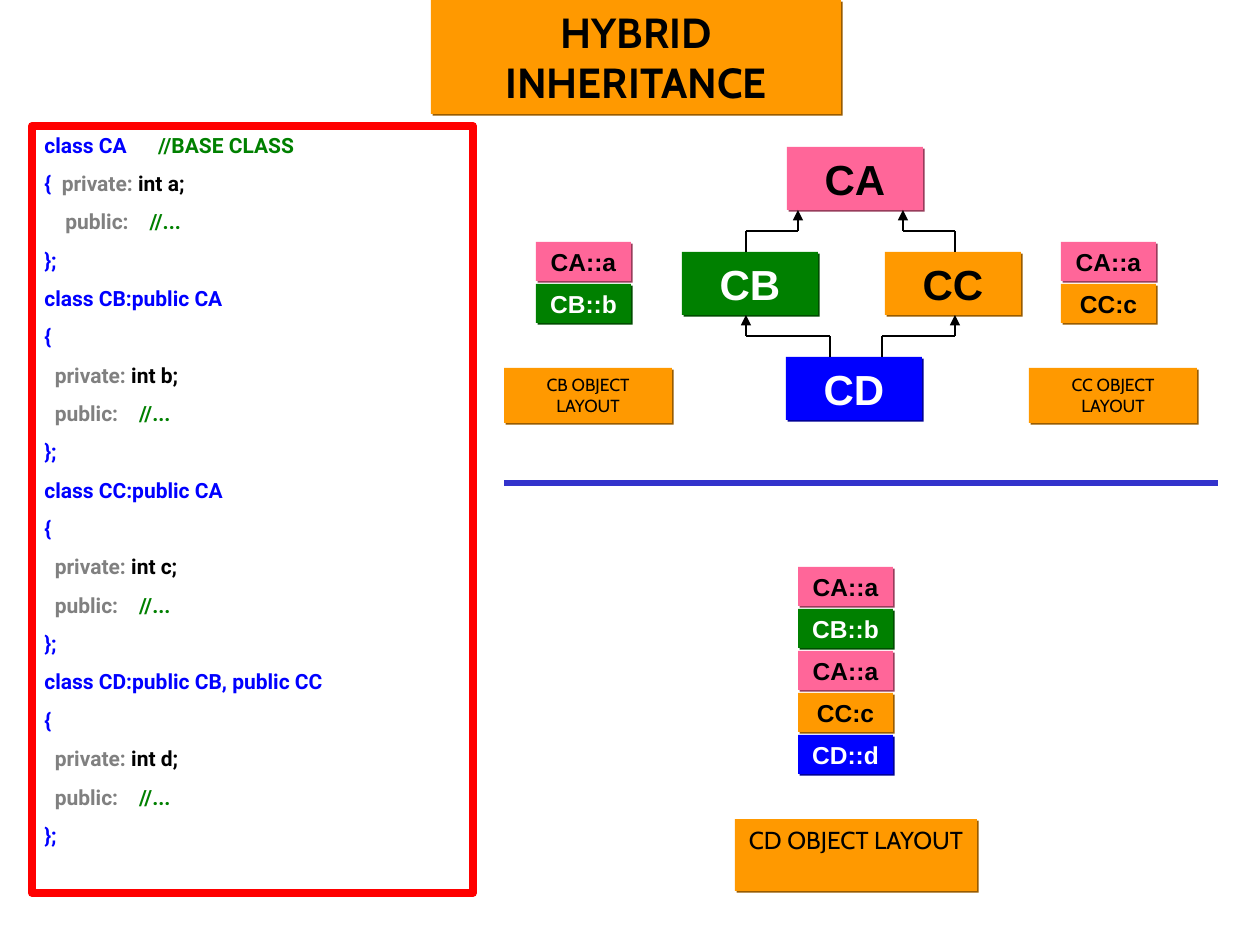
import pptx
import pptx.util
import pptx.dml.color
import pptx.enum.shapes
import pptx.enum.text
import pptx.oxml.ns
import lxml.etree

RGB = pptx.dml.color.RGBColor
ORANGE = RGB(0xFF, 0x99, 0x00)
PINK = RGB(0xFF, 0x66, 0x99)
GREEN = RGB(0x00, 0x80, 0x00)
BLUE = RGB(0x00, 0x00, 0xFF)
INDIGO = RGB(0x33, 0x33, 0xCC)
RED = RGB(0xFF, 0x00, 0x00)
GREY = RGB(0x80, 0x80, 0x80)
BLACK = RGB(0x00, 0x00, 0x00)
WHITE = RGB(0xFF, 0xFF, 0xFF)
SHADE = {
    ORANGE: RGB(0x98, 0x5B, 0x00),
    PINK: RGB(0x98, 0x3C, 0x5B),
    GREEN: RGB(0x00, 0x4C, 0x00),
    BLUE: RGB(0x00, 0x00, 0x98),
}
INK = {ORANGE: BLACK, PINK: BLACK, GREEN: WHITE, BLUE: WHITE}
CELLS = {"CA::a": PINK, "CB::b": GREEN, "CC:c": ORANGE, "CD::d": BLUE}
ALIGN = pptx.enum.text.PP_ALIGN
ANCHOR = pptx.enum.text.MSO_ANCHOR


def px(count):
    return pptx.util.Emu(round(count * 914400 / 126))


def add(part, name, text=""):
    return lxml.etree.SubElement(part, pptx.oxml.ns.qn(name))


def write(para, text, font, size, color, bold):
    run = para.add_run()
    run.text = text
    run.font.name = font
    run.font.size = pptx.util.Pt(size)
    run.font.bold = bold
    run.font.color.rgb = color


def place(shape, left, top, width, height):
    shape.left, shape.top = px(left), px(top)
    shape.width, shape.height = px(width), px(height)


def rect(shapes, *box):
    kind = pptx.enum.shapes.MSO_SHAPE.RECTANGLE
    return shapes.add_shape(kind, *map(px, box))


def setup(shape, fill, anchor, wrap):
    shape.shadow.inherit = False
    shape.fill.solid()
    shape.fill.fore_color.rgb = fill
    frame = shape.text_frame
    frame.auto_size = pptx.enum.text.MSO_AUTO_SIZE.NONE
    frame.word_wrap = wrap
    frame.vertical_anchor = anchor
    return frame


def label(shape, text, fill, font, size, bold, anchor=ANCHOR.MIDDLE, wrap=False):
    frame = setup(shape, fill, anchor, wrap)
    shape.line.fill.background()
    effect = shape.element.spPr.find(pptx.oxml.ns.qn("a:effectLst"))
    shadow = add(effect, "a:outerShdw")
    shadow.set("dist", str(pptx.util.Pt(1.4)))
    shadow.set("dir", "2700000")
    shadow.set("algn", "ctr")
    shadow.set("rotWithShape", "0")
    add(shadow, "a:srgbClr").set("val", str(SHADE[fill]))
    para = frame.paragraphs[0]
    para.alignment = ALIGN.CENTER
    write(para, text, font, size, INK[fill], bold)


def line(shapes, start, end, color, width, arrow=False):
    kind = pptx.enum.shapes.MSO_CONNECTOR.STRAIGHT
    link = shapes.add_connector(kind, *map(px, start + end))
    link.line.color.rgb = color
    link.line.width = pptx.util.Pt(width)
    if arrow:
        add(link.line._get_or_add_ln(), "a:tailEnd").set("type", "triangle")
    add(link.element.spPr, "a:effectLst")


def header(slide, *box):
    title = slide.shapes.title
    place(title, *box)
    label(title, "HYBRID INHERITANCE", ORANGE, "Cabin", 24, True, ANCHOR.TOP, True)


def derived(head, field):
    return [
        [(head, BLUE)],
        [("{", BLUE)],
        [("  ", BLACK), ("private:", GREY), (f" int {field};", BLACK)],
        [("  ", BLACK), ("public:    ", GREY), ("//...", GREEN)],
        [("};", BLUE)],
    ]


def listing(slide, *box):
    panel = rect(slide.shapes, *box)
    frame = setup(panel, WHITE, ANCHOR.TOP, True)
    panel.line.color.rgb = RED
    panel.line.width = pptx.util.Pt(4.5)
    rows = [
        [("class CA      ", BLUE), ("//BASE CLASS", GREEN)],
        [("{  ", BLUE), ("private:", GREY), (" int a;", BLACK)],
        [("    ", BLACK), ("public:    ", GREY), ("//...", GREEN)],
        [("};", BLUE)],
        *derived("class CB:public CA", "b"),
        *derived("class CC:public CA", "c"),
        *derived("class CD:public CB, public CC", "d"),
    ]
    for index, row in enumerate(rows):
        para = frame.add_paragraph() if index else frame.paragraphs[0]
        para.alignment = ALIGN.LEFT
        if index:
            para.space_before = pptx.util.Pt(7.5)
        for text, color in row:
            write(para, text, "Roboto", 12, color, True)


def tree(slide, left, top):
    shapes = slide.shapes.add_group_shape().shapes
    step, wide, high = 105, 136, 63
    nodes = [
        ("CA", PINK, 105, 0),
        ("CB", GREEN, 0, 1),
        ("CC", ORANGE, 203, 1),
        ("CD", BLUE, 104, 2),
    ]
    for text, fill, x, level in nodes:
        node = rect(shapes, left + x, top + level * step, wide, high)
        label(node, text, fill, "Arial", 24, True)
    for child, parent, level in [(64, 116, 0), (273, 221, 0), (148, 64, 1), (200, 273, 1)]:
        low, base = left + child, left + parent
        tip = top + level * step + high
        mid, foot = tip + 21, tip + 42
        line(shapes, (low, foot), (low, mid), BLACK, 0.75)
        line(shapes, (low, mid), (base, mid), BLACK, 0.75)
        line(shapes, (base, mid), (base, tip), BLACK, 0.75, True)


def layout(slide, left, top, width, height, inset, drop, size, name, cells):
    for index, text in enumerate(cells):
        cell = rect(slide.shapes, left + inset, top + index * 42, 95, 39)
        label(cell, text, CELLS[text], "Arial", 14, True)
    note = rect(slide.shapes, left, top + drop, width, height - drop)
    label(note, f"{name} OBJECT LAYOUT", ORANGE, "Cabin", size, False, ANCHOR.TOP, True)


def main():
    deck = pptx.Presentation()
    deck.slide_width, deck.slide_height = px(1260), px(945)
    slide = deck.slides.add_slide(deck.slide_layouts[5])
    header(slide, 431, 0, 410, 114)
    listing(slide, 32, 126, 441, 767)
    tree(slide, 682, 147)
    layout(slide, 504, 242, 168, 181, 32, 126, 10, "CB", ["CA::a", "CB::b"])
    layout(slide, 1029, 242, 168, 181, 32, 126, 10, "CC", ["CA::a", "CC:c"])
    line(slide.shapes, (504, 483), (1218, 483), INDIGO, 3)
    parts = ["CA::a", "CB::b", "CA::a", "CC:c", "CD::d"]
    layout(slide, 735, 567, 242, 324, 63, 252, 14, "CD", parts)
    deck.save("out.pptx")


if __name__ == "__main__":
    main()
